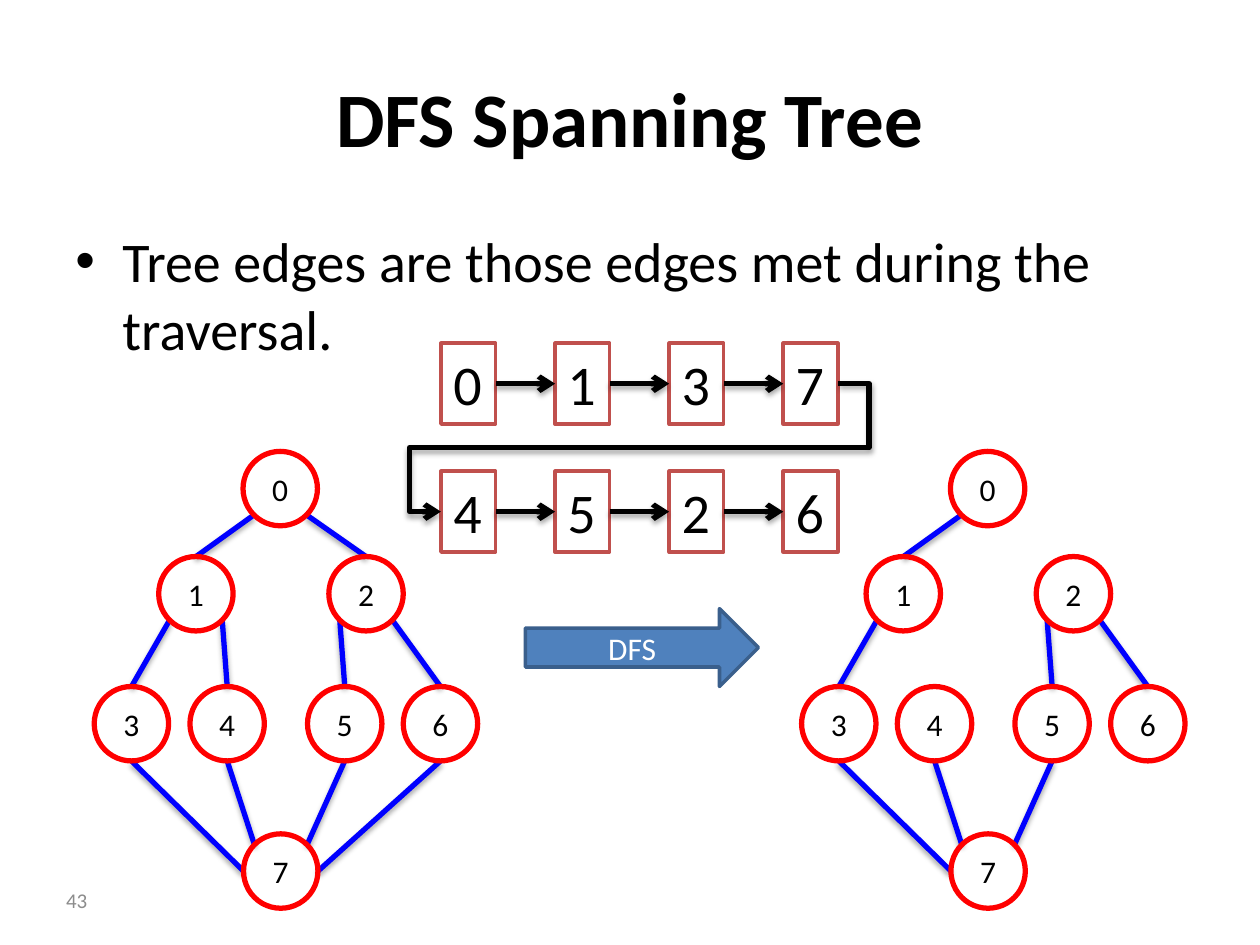
from math import sqrt

from lxml.etree import SubElement
from pptx import Presentation
from pptx.dml.color import RGBColor
from pptx.enum.shapes import MSO_CONNECTOR as LINK, MSO_SHAPE as SHAPE
from pptx.enum.text import MSO_ANCHOR as ANCHOR, MSO_AUTO_SIZE as AUTO, PP_ALIGN as ALIGN
from pptx.oxml.ns import qn
from pptx.util import Cm, Pt

COLOURS = {
    "text": "000000", "white": "FFFFFF", "node": "FF0000", "edge": "0000FF",
    "box": "C0504D", "arrow": "4F81BD", "arrow_line": "3A5F8C", "number": "8C8C8C",
}
DIAGONAL = sqrt(0.5)
# Points on a node's circle, as offsets from its centre in radii
SITES = {
    "top": (0, -1), "bottom": (0, 1), "left": (-1, 0), "right": (1, 0),
    "top left": (-DIAGONAL, -DIAGONAL), "top right": (DIAGONAL, -DIAGONAL),
    "bottom left": (-DIAGONAL, DIAGONAL), "bottom right": (DIAGONAL, DIAGONAL),
}
NODE_SIZE = 1.5
# Node centres in cm; the list index is the node's label
NODES = [(5.65, 9.85), (3.95, 11.97), (7.38, 11.97), (2.65, 14.59),
         (4.58, 14.59), (6.95, 14.59), (8.88, 14.59), (5.66, 17.56)]
TREE_EDGES = [
    (0, "bottom left", 1, "top"), (1, "bottom left", 3, "top"),
    (2, "bottom left", 5, "top"), (2, "bottom right", 6, "top"),
    (3, "bottom", 7, "left"), (4, "bottom", 7, "top left"),
    (5, "bottom", 7, "top right"),
]
OTHER_EDGES = [
    (0, "bottom right", 2, "top"), (1, "bottom right", 4, "top"),
    (6, "bottom", 7, "right"),
]
TREE_OFFSET = 14.26
VISIT_ROWS = [("0137", 6.92), ("4526", 9.5)]
BOX_LEFT, BOX_PITCH, BOX_WIDTH, BOX_HEIGHT = 8.89, 2.3, 1.1, 1.63


def colour(name):
    return RGBColor.from_string(COLOURS[name])


def write(shape, text, size=18, ink="text", bold=False, align=ALIGN.CENTER,
          anchor=ANCHOR.MIDDLE, wrap=True):
    frame = shape.text_frame
    frame.word_wrap = wrap
    frame.vertical_anchor = anchor
    para = frame.paragraphs[0]
    para.alignment = align
    span = para.add_run()
    span.text = text
    span.font.name = "Calibri"
    span.font.size = Pt(size)
    span.font.bold = bold
    span.font.color.rgb = colour(ink)
    return para


def add_bullet(para, indent):
    props = para._p.get_or_add_pPr()
    props.set("marL", str(indent))
    props.set("indent", str(-indent))
    SubElement(props, qn("a:buFont"), typeface="Arial")
    SubElement(props, qn("a:buChar"), char="•")


def add_figure(shapes, kind, left, top, width, height, line, weight, fill=None):
    shape = shapes.add_shape(kind, Cm(left), Cm(top), Cm(width), Cm(height))
    shape.shadow.inherit = False
    if fill:
        shape.fill.solid()
        shape.fill.fore_color.rgb = colour(fill)
    else:
        shape.fill.background()
    shape.line.color.rgb = colour(line)
    shape.line.width = Pt(weight)
    return shape


def add_link(shapes, start, end, ink, kind=LINK.STRAIGHT, head=False):
    """Draw a soft-shadowed line between two points given in cm."""
    link = shapes.add_connector(kind, *(Cm(value) for value in (*start, *end)))
    link.line.color.rgb = colour(ink)
    link.line.width = Pt(3)
    if head:
        SubElement(link.line._get_or_add_ln(), qn("a:tailEnd"), type="arrow")
    effects = SubElement(link._element.spPr, qn("a:effectLst"))
    shadow = SubElement(effects, qn("a:outerShdw"), blurRad=str(Pt(3.1)),
                        dist=str(Pt(1.8)), dir="5400000", rotWithShape="0")
    black = SubElement(shadow, qn("a:srgbClr"), val=COLOURS["text"])
    SubElement(black, qn("a:alpha"), val="35000")
    return link


def add_graph(page, edges, offset=0):
    shapes = page.shapes.add_group_shape().shapes
    radius = NODE_SIZE / 2

    def site_point(node, site):
        x, y = NODES[node]
        across, down = SITES[site]
        return x + offset + radius * across, y + radius * down

    for first, first_site, last, last_site in edges:
        add_link(shapes, site_point(first, first_site),
                 site_point(last, last_site), "edge")
    for label, (x, y) in enumerate(NODES):
        node = add_figure(shapes, SHAPE.OVAL, x + offset - radius, y - radius,
                          NODE_SIZE, NODE_SIZE, "node", 3)
        write(node, str(label))


def join_boxes(shapes, first, last, kind=LINK.STRAIGHT):
    start = (first.left + first.width).cm if hasattr(first.left + first.width, "cm") \
        else Cm(1) and (first.left + first.width) / Cm(1)
    middles = [(box.top + box.height / 2) / Cm(1) for box in (first, last)]
    link = add_link(shapes, (start, middles[0]), (last.left / Cm(1), middles[1]),
                    "text", kind, head=True)
    link.begin_connect(first, 3)
    link.end_connect(last, 1)
    return link


def add_visit_order(page):
    shapes = page.shapes.add_group_shape().shapes
    rows = []
    for labels, top in VISIT_ROWS:
        row = []
        for column, label in enumerate(labels):
            box = add_figure(shapes, SHAPE.RECTANGLE, BOX_LEFT + column * BOX_PITCH,
                             top, BOX_WIDTH, BOX_HEIGHT, "box", 2, "white")
            write(box, label, size=32, align=ALIGN.LEFT, anchor=ANCHOR.TOP, wrap=False)
            box.text_frame.auto_size = AUTO.SHAPE_TO_FIT_TEXT
            row.append(box)
        for first, last in zip(row, row[1:]):
            join_boxes(shapes, first, last)
        rows.append(row)
    turn = join_boxes(shapes, rows[0][-1], rows[1][0], LINK.ELBOW)
    geometry = turn._element.spPr.find(qn("a:prstGeom"))
    geometry.set("prst", "bentConnector5")
    guides = geometry.find(qn("a:avLst"))
    if guides is None:
        guides = SubElement(geometry, qn("a:avLst"))
    for number, value in enumerate((-7900, 50000, 107900), start=1):
        SubElement(guides, qn("a:gd"), name=f"adj{number}", fmla=f"val {value}")


def main():
    deck = Presentation()
    deck.slide_width, deck.slide_height = Cm(25.4), Cm(19.05)
    page = deck.slides.add_slide(deck.slide_layouts[5])

    title = page.shapes.title
    title.left, title.top, title.width, title.height = Cm(1.27), Cm(0.76), Cm(22.86), Cm(3.18)
    write(title, "DFS Spanning Tree", size=44, bold=True)

    body = page.shapes.add_textbox(Cm(1.27), Cm(4.45), Cm(22.86), Cm(12.57))
    para = write(body, "Tree edges are those edges met during the traversal.",
                 size=32, align=ALIGN.LEFT, anchor=ANCHOR.TOP)
    para.space_before = Pt(6.4)
    add_bullet(para, Cm(0.95))

    add_graph(page, TREE_EDGES + OTHER_EDGES)
    add_graph(page, TREE_EDGES, TREE_OFFSET)
    add_visit_order(page)

    arrow = add_figure(page.shapes, SHAPE.RIGHT_ARROW, 10.59, 12.27, 4.7, 1.57,
                       "arrow_line", 2, "arrow")
    write(arrow, "DFS", ink="white")

    number = page.shapes.add_textbox(Cm(0.5), Cm(17.63), Cm(1.51), Cm(1.02))
    write(number, "43", size=12, ink="number", align=ALIGN.RIGHT)

    deck.save("out.pptx")


if __name__ == "__main__":
    main()
